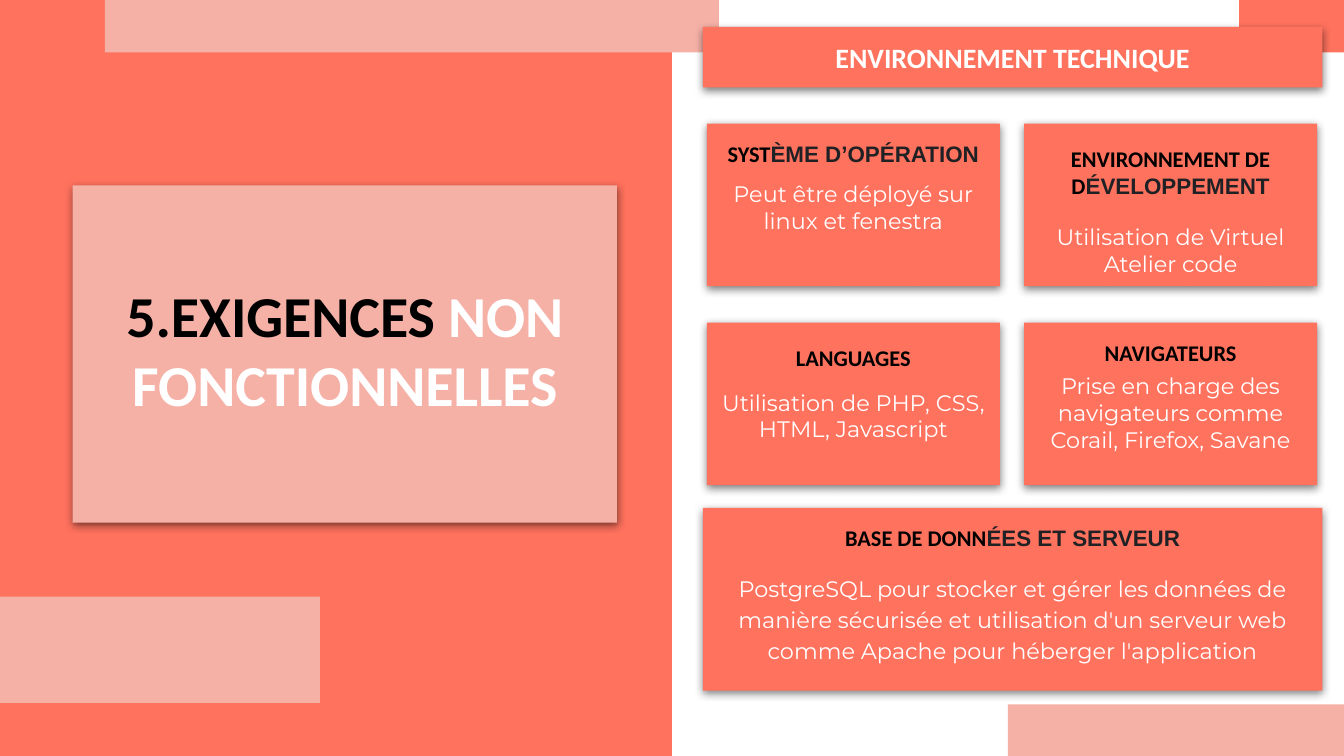
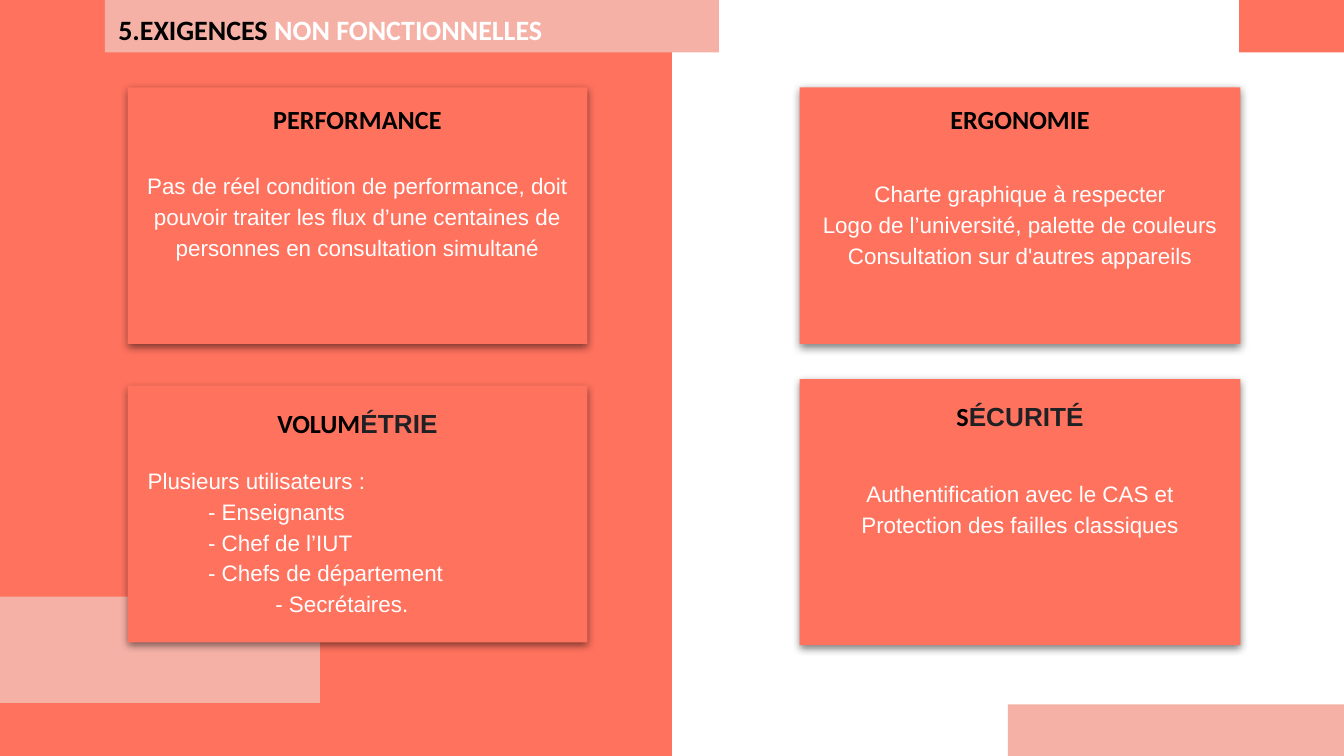
"""Build two slides on non-functional requirements in a coral theme."""
from dataclasses import dataclass
from typing import NamedTuple

from lxml.etree import SubElement
from pptx import Presentation
from pptx.dml.color import RGBColor
from pptx.enum.shapes import MSO_SHAPE
from pptx.enum.text import MSO_ANCHOR, MSO_AUTO_SIZE, PP_ALIGN
from pptx.oxml.ns import qn
from pptx.util import Inches, Pt


@dataclass(frozen=True)
class Theme:
    """Colours, fonts and type sizes shared by the slides."""
    coral: RGBColor = RGBColor(0xFF, 0x72, 0x5E)
    blush: RGBColor = RGBColor(0xF6, 0xB1, 0xA7)
    black: RGBColor = RGBColor(0x00, 0x00, 0x00)
    charcoal: RGBColor = RGBColor(0x20, 0x21, 0x24)
    white: RGBColor = RGBColor(0xFF, 0xFF, 0xFF)
    heading_font: str = "Calibri"
    accent_font: str = "Arial"
    technical_font: str = "Montserrat"
    cover_size: float = 31
    banner_size: float = 15
    large_heading_size: float = 14
    body_size: float = 12


THEME = Theme()


class Box(NamedTuple):
    """Position and size in inches."""
    left: float
    top: float
    width: float
    height: float


class Band(NamedTuple):
    """Decorative rectangle of the layout."""
    box: Box
    color: RGBColor


class Line(NamedTuple):
    """Body line with its indent in inches."""
    text: str
    indent: float = 0


class Piece(NamedTuple):
    """Stretch of text in one format."""
    text: str
    font: str
    size: float
    color: RGBColor
    bold: bool = True


@dataclass(frozen=True)
class Card:
    """Box with a two-tone heading and body lines."""
    box: Box
    heading: str
    accent: str
    lines: tuple[Line, ...]
    gap: float
    top_inset: float = 0.12
    spacing: float = 1.0
    alignment: PP_ALIGN = PP_ALIGN.CENTER


BANDS = (
    Band(Box(0, 0, 5, 5.63), THEME.coral),
    Band(Box(0, 4.44, 2.38, 0.79), THEME.blush),
    Band(Box(0.78, 0, 4.57, 0.39), THEME.blush),
    Band(Box(9.22, 0, 0.78, 0.39), THEME.coral),
    Band(Box(7.5, 5.24, 2.5, 0.39), THEME.blush),
)


def technical_box(row: int, column: int) -> Box:
    """Locate a small card in the two-by-two grid."""
    return Box(5.26 + 2.36 * column, 0.92 + 1.48 * row, 2.18, 1.21)


TECHNICAL_CARDS = (
    Card(technical_box(0, 0), "SYST", "ÈME D’OPÉRATION",
         (Line("Peut être déployé sur linux et fenestra"),), gap=7),
    Card(technical_box(0, 1), "ENVIRONNEMENT DE D", "ÉVELOPPEMENT",
         (Line("Utilisation de Virtuel Atelier code"),), gap=13, top_inset=0.16),
    Card(technical_box(1, 0), "LANGUAGES", "",
         (Line("Utilisation de PHP, CSS, HTML, Javascript"),), gap=9.5, top_inset=0.16),
    Card(technical_box(1, 1), "NAVIGATEURS", "",
         (Line("Prise en charge des navigateurs comme Corail, Firefox, Savane"),), gap=3.5),
    Card(Box(5.23, 3.78, 4.61, 1.36), "BASE DE DONN", "ÉES ET SERVEUR",
         (Line("PostgreSQL pour stocker et gérer les données de manière sécurisée et "
               "utilisation d'un serveur web comme Apache pour héberger l'application"),),
         gap=11, spacing=1.15),
)

QUALITY_CARDS = (
    Card(Box(0.95, 0.65, 3.42, 1.91), "PERFORMANCE", "",
         (Line("Pas de réel condition de performance, doit pouvoir traiter les flux "
               "d’une centaines de personnes en consultation simultané"),),
         gap=18, spacing=1.15),
    Card(Box(5.95, 0.65, 3.28, 1.91), "ERGONOMIE", "",
         (Line("Charte graphique à respecter"),
          Line("Logo de l’université, palette de couleurs"),
          Line("Consultation sur d'autres appareils")), gap=22, spacing=1.15),
    Card(Box(0.95, 2.87, 3.42, 1.91), "VOLUM", "ÉTRIE",
         (Line("Plusieurs utilisateurs :", 0.05), Line("- Enseignants", 0.5),
          Line("- Chef de l’IUT", 0.5), Line("- Chefs de département", 0.5),
          Line("- Secrétaires.", 1)),
         gap=13, top_inset=0.16, spacing=1.15, alignment=PP_ALIGN.LEFT),
    Card(Box(5.95, 2.82, 3.28, 1.98), "S", "ÉCURITÉ",
         (Line("Authentification avec le CAS et"),
          Line("Protection des failles classiques")),
         gap=23.5, top_inset=0.16, spacing=1.15),
)


def place(shape, box: Box) -> None:
    """Move and size a shape."""
    shape.left, shape.top, shape.width, shape.height = map(Inches, box)


def add_rectangle(slide, box: Box, color: RGBColor):
    """Draw a flat rectangle."""
    shape = slide.shapes.add_shape(MSO_SHAPE.RECTANGLE, *map(Inches, box))
    shape.fill.solid()
    shape.fill.fore_color.rgb = color
    shape.line.fill.background()
    shape.shadow.inherit = False
    return shape


def add_raised_rectangle(slide, box: Box, color: RGBColor):
    """Draw a rectangle with a soft shadow below it."""
    shape = add_rectangle(slide, box, color)
    effects = shape.element.spPr.find(qn("a:effectLst"))
    shadow = SubElement(effects, qn("a:outerShdw"), blurRad=str(Pt(4.5)),
                        dist=str(Pt(1.5)), dir="5400000", algn="bl", rotWithShape="0")
    shadow_color = SubElement(shadow, qn("a:srgbClr"), val=str(THEME.black))
    SubElement(shadow_color, qn("a:alpha"), val="50000")
    return shape


def prepare_text(shape, top_inset: float = 0.1):
    """Set wrapping, anchor and insets, and return the text frame."""
    text_frame = shape.text_frame
    text_frame.word_wrap = True
    text_frame.auto_size = MSO_AUTO_SIZE.NONE
    text_frame.vertical_anchor = MSO_ANCHOR.TOP
    text_frame.margin_left = text_frame.margin_right = Inches(0.1)
    text_frame.margin_bottom = Inches(0.1)
    text_frame.margin_top = Inches(top_inset)
    return text_frame


def write_pieces(paragraph, pieces: list[Piece], alignment: PP_ALIGN = PP_ALIGN.CENTER,
                 spacing: float = 1.0) -> None:
    """Fill a paragraph with formatted runs."""
    paragraph.alignment = alignment
    paragraph.line_spacing = spacing
    for piece in pieces:
        run = paragraph.add_run()
        run.text = piece.text
        run.font.name = piece.font
        run.font.size = Pt(piece.size)
        run.font.bold = piece.bold
        run.font.color.rgb = piece.color


def add_title(slide, box: Box, size: float, alignment: PP_ALIGN, spacing: float) -> None:
    """Place the shared two-tone title above the shapes drawn so far."""
    title = slide.shapes.title
    place(title, box)
    slide.shapes.element.append(title.element)
    pieces = [Piece("5.EXIGENCES", THEME.heading_font, size, THEME.black),
              Piece(" NON FONCTIONNELLES", THEME.heading_font, size, THEME.white)]
    write_pieces(prepare_text(title).paragraphs[0], pieces, alignment, spacing)


def add_card(slide, card: Card, heading_size: float, body_font: str) -> None:
    """Draw a card with its heading and body."""
    shape = add_raised_rectangle(slide, card.box, THEME.coral)
    text_frame = prepare_text(shape, card.top_inset)
    heading = [Piece(card.heading, THEME.heading_font, heading_size, THEME.black)]
    if card.accent:
        heading.append(Piece(card.accent, THEME.accent_font, heading_size, THEME.charcoal))
    write_pieces(text_frame.paragraphs[0], heading)
    for index, line in enumerate(card.lines):
        paragraph = text_frame.add_paragraph()
        body = Piece(line.text, body_font, THEME.body_size, THEME.white, False)
        write_pieces(paragraph, [body], card.alignment, card.spacing)
        if index == 0:
            paragraph.space_before = Pt(card.gap)
        if line.indent:
            properties = paragraph._p.get_or_add_pPr()
            properties.set("marL", str(Inches(line.indent)))
            properties.set("indent", "0")


def move_bands_to_layout(slide) -> None:
    """Draw the decorative bands once, in the layout of the slide."""
    layout_tree = slide.slide_layout.shapes.element
    for index, band in enumerate(BANDS):
        shape = add_rectangle(slide, band.box, band.color)
        shape.element.nvSpPr.cNvPr.set("id", str(100 + index))
        layout_tree.append(shape.element)


def build_technical_slide(slide) -> None:
    """Show the section title and the technical environment."""
    add_raised_rectangle(slide, Box(0.54, 1.38, 4.05, 2.51), THEME.blush)
    add_title(slide, Box(0.54, 1.98, 4.05, 1.54), THEME.cover_size, PP_ALIGN.CENTER, 1.0)
    for card in TECHNICAL_CARDS:
        add_card(slide, card, THEME.body_size, THEME.technical_font)
    banner = add_raised_rectangle(slide, Box(5.23, 0.2, 4.61, 0.45), THEME.coral)
    write_pieces(prepare_text(banner).paragraphs[0],
                 [Piece("ENVIRONNEMENT TECHNIQUE", THEME.heading_font,
                        THEME.banner_size, THEME.white)])


def build_quality_slide(slide) -> None:
    """Show the four quality requirements."""
    for card in QUALITY_CARDS:
        add_card(slide, card, THEME.large_heading_size, THEME.accent_font)
    add_title(slide, Box(0.78, 0.02, 4.47, 0.33), THEME.banner_size, PP_ALIGN.LEFT, 0.9)


def main() -> None:
    """Create and save the presentation."""
    presentation = Presentation()
    presentation.slide_width = Inches(10)
    presentation.slide_height = Inches(5.625)
    layout = presentation.slide_layouts.get_by_name("Title Only")
    technical_slide = presentation.slides.add_slide(layout)
    move_bands_to_layout(technical_slide)
    build_technical_slide(technical_slide)
    build_quality_slide(presentation.slides.add_slide(layout))
    presentation.save("out.pptx")


if __name__ == "__main__":
    main()
